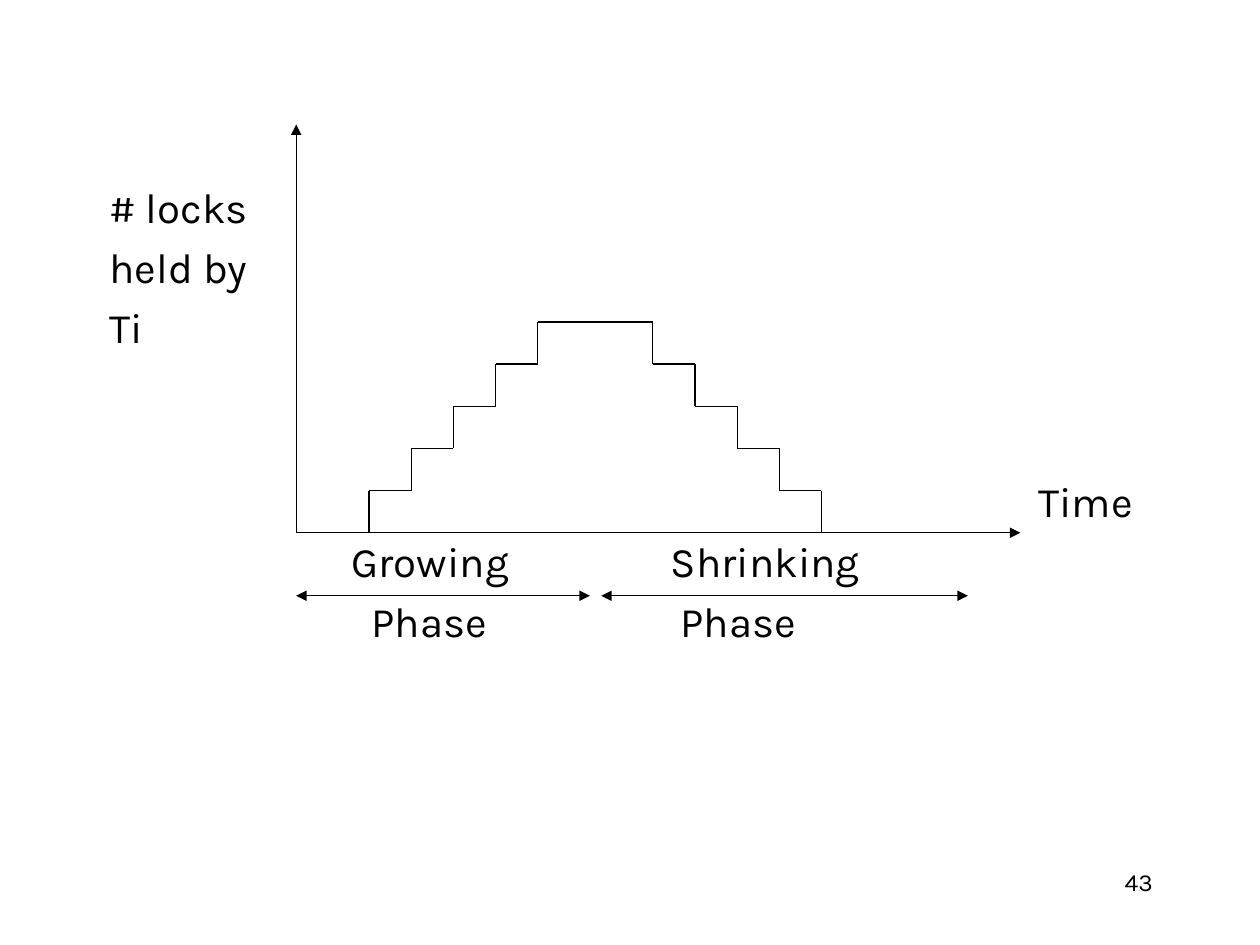
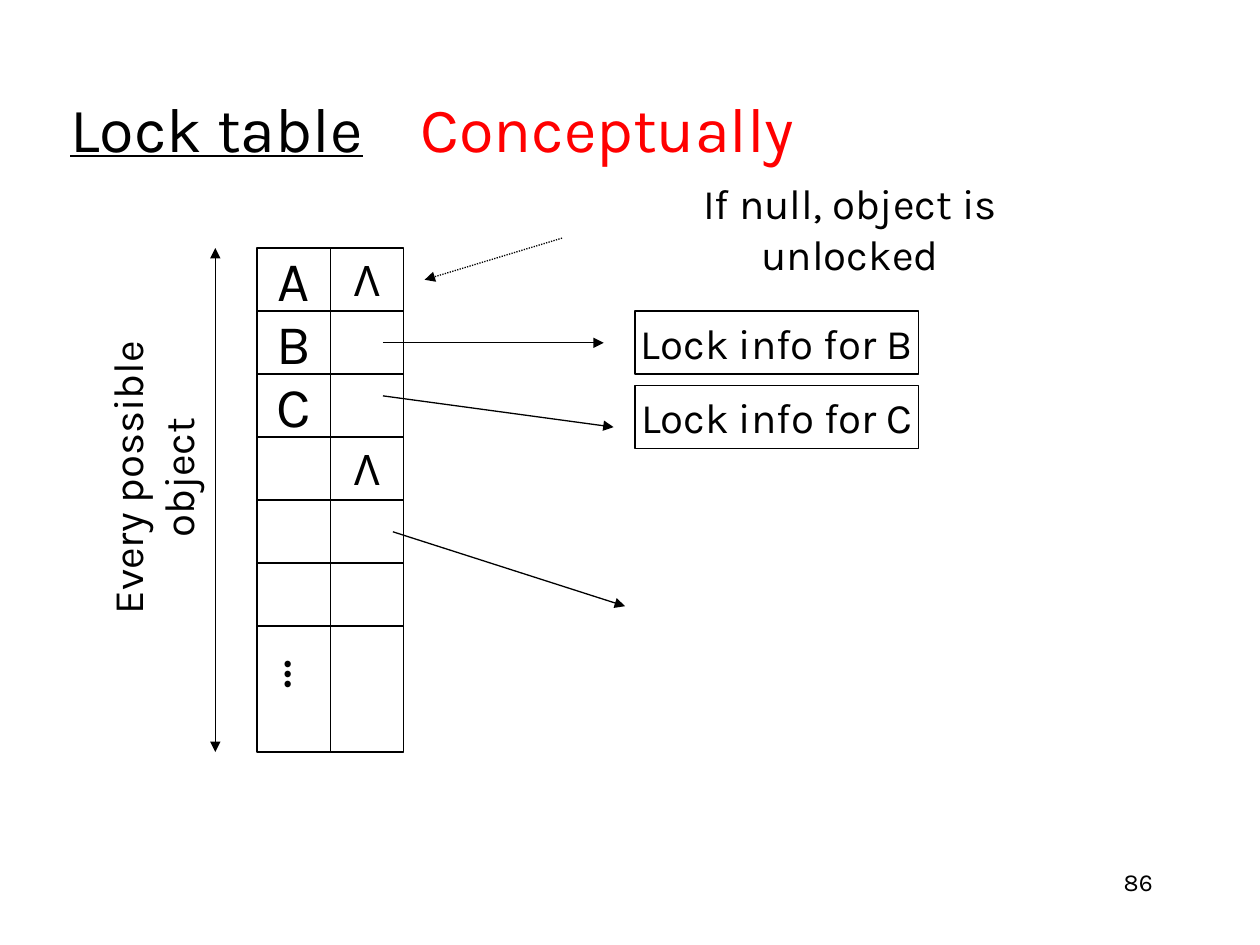
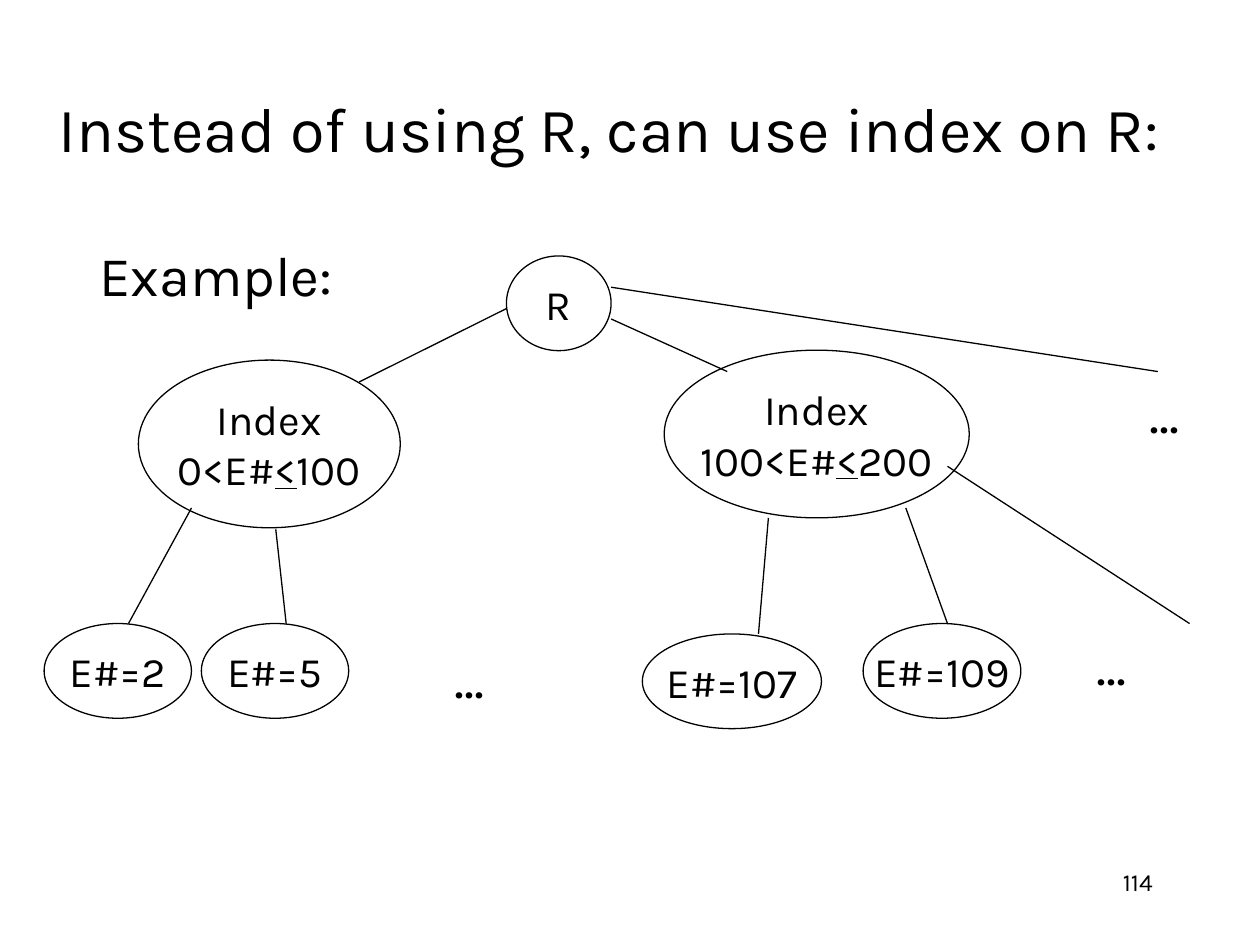
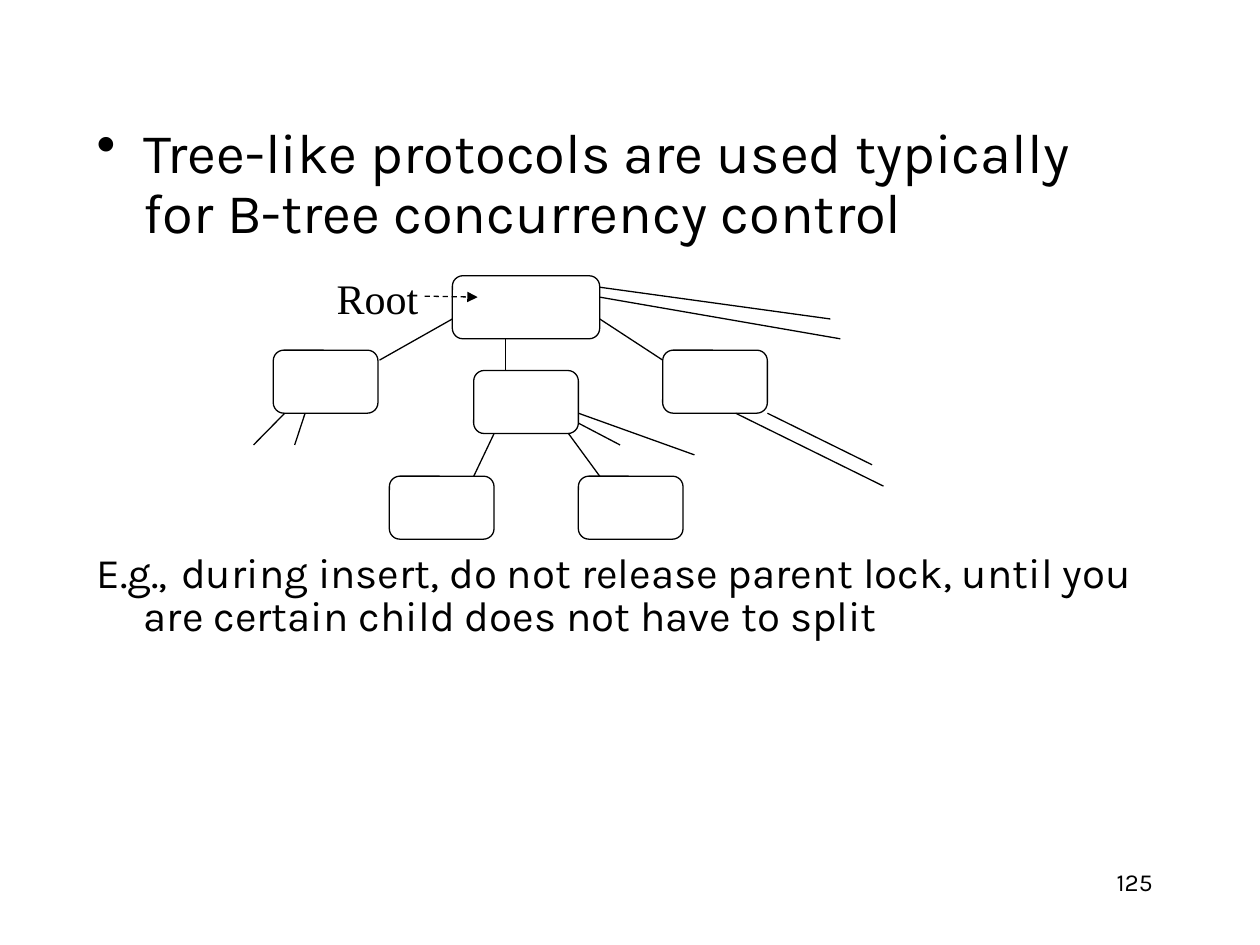
from dataclasses import dataclass
from itertools import pairwise

from pptx import Presentation
from pptx.dml.color import RGBColor
from pptx.enum.dml import MSO_LINE
from pptx.enum.shapes import MSO_CONNECTOR, MSO_SHAPE
from pptx.enum.text import MSO_ANCHOR, PP_ALIGN
from pptx.oxml.ns import qn
from pptx.oxml.xmlchemy import OxmlElement
from pptx.util import Cm, Pt


@dataclass(frozen=True)
class Theme:
    font: str = "Karla"
    serif: str = "Times New Roman"
    ink: RGBColor = RGBColor(0, 0, 0)
    paper: RGBColor = RGBColor(255, 255, 255)
    accent: RGBColor = RGBColor(255, 0, 0)
    title: int = 36
    large: int = 32
    body: int = 24
    number: int = 14
    para_gap: float = 5.5
    line: float = 0.75
    hanging: float = 0.95


THEME = Theme()


# Text
def add_run(p, text, size, font=THEME.font, color=THEME.ink, underline=False):
    r = p.add_run()
    r.text = text
    r.font.size = Pt(size)
    r.font.name = font
    r.font.color.rgb = color
    r.font.underline = underline


def write(tf, paragraphs, size, align=PP_ALIGN.LEFT, anchor=MSO_ANCHOR.TOP, wrap=True):
    """Each paragraph is a string or a list of (text, options) runs."""
    tf.word_wrap = wrap
    tf.vertical_anchor = anchor
    for i, runs in enumerate(paragraphs):
        p = tf.add_paragraph() if i else tf.paragraphs[0]
        p.alignment = align
        for text, options in [(runs, {})] if isinstance(runs, str) else runs:
            add_run(p, text, **{"size": size, **options})


def text_box(s, box, paragraphs, size=THEME.body, rotation=0, **layout):
    tb = s.shapes.add_textbox(*map(Cm, box))
    tb.rotation = rotation
    write(tb.text_frame, paragraphs, size, **layout)
    return tb.text_frame


def label(s, box, text, size=THEME.body, **options):
    return text_box(s, box, [text], size, align=PP_ALIGN.CENTER,
                    anchor=MSO_ANCHOR.MIDDLE, **options)


def dots(s, left, top, rotation=0):
    label(s, (left, top, 1.55, 1.6), "...", THEME.large, rotation=rotation, wrap=False)


def title(s, left, width, runs):
    tf = text_box(s, (left, 0.97, width, 3.18), [runs], THEME.title,
                  anchor=MSO_ANCHOR.MIDDLE)
    return tf.paragraphs[0]


def indent(p, left, first=0.0):
    pPr = p._p.get_or_add_pPr()
    pPr.set("marL", str(Cm(left)))
    pPr.set("indent", str(Cm(first)))
    return pPr


def bullet(p):
    bu = OxmlElement("a:buChar")
    bu.set("char", "•")
    p._p.get_or_add_pPr().append(bu)


def tab_stop(p, position):
    tabs, tab = OxmlElement("a:tabLst"), OxmlElement("a:tab")
    tab.set("pos", str(Cm(position)))
    tab.set("algn", "l")
    tabs.append(tab)
    p._p.get_or_add_pPr().append(tabs)


# Shapes and lines
def node(s, kind, box, paragraphs=(), size=THEME.body):
    sp = s.shapes.add_shape(kind, *map(Cm, box))
    sp.shadow.inherit = False
    sp.fill.solid()
    sp.fill.fore_color.rgb = THEME.paper
    sp.line.color.rgb = THEME.ink
    sp.line.width = Pt(THEME.line)
    write(sp.text_frame, paragraphs, size, PP_ALIGN.CENTER, MSO_ANCHOR.MIDDLE, wrap=False)


def line(s, start, end, arrow=False, dash=None):
    c = s.shapes.add_connector(MSO_CONNECTOR.STRAIGHT, *map(Cm, (*start, *end)))
    c.line.color.rgb = THEME.ink
    c.line.width = Pt(THEME.line)
    if dash is not None:
        c.line.dash_style = dash
    spPr = c.element.spPr
    if arrow:
        tip = OxmlElement("a:tailEnd")
        tip.set("type", "triangle")
        spPr.find(qn("a:ln")).append(tip)
    spPr.append(OxmlElement("a:effectLst"))


def arrows_from(s, start, *ends):
    for end in ends:
        line(s, start, end, arrow=True)


def new_slide(prs, number):
    s = prs.slides.add_slide(prs.slide_layouts[6])
    text_box(s, (18.21, 17.35, 5.28, 1.27), [str(number)], THEME.number,
             align=PP_ALIGN.RIGHT)
    return s


# Slides
def phases_slide(prs):
    s = new_slide(prs, 43)

    # Axes and captions
    origin = x0, y0 = 5.97, 10.74
    arrows_from(s, origin, (20.57, y0), (x0, 2.51))
    tf = text_box(s, (1.96, 3.53, 3.9, 4), ["# locks", "held by", "Ti"])
    for p in tf.paragraphs[1:]:
        p.space_before = Pt(THEME.para_gap)
    text_box(s, (20.68, 9.47, 3, 1.27), ["Time"])
    for left, name, shift in [(6.84, "Growing", 0.4), (13.27, "Shrinking", 0.2)]:
        tf = text_box(s, (left, 10.67, 4.6, 2.6), [name, "Phase"])
        phase = tf.paragraphs[1]
        phase.space_before = Pt(THEME.para_gap)
        indent(phase, shift)

    # Phase spans
    y = 12.01
    arrows_from(s, (8.08, y), (x0, y), (11.89, y))
    arrows_from(s, (16.33, y), (12.12, y), (19.51, y))

    # Staircase up, then down
    step, count, up, down = 0.85, 5, 7.44, 13.16
    levels = [y0 - i * step for i in range(count + 1)]
    points = []
    for i, (low, high) in enumerate(pairwise(levels)):
        points += [(up + i * step, low), (up + i * step, high)]
    for i, (high, low) in enumerate(pairwise(levels[::-1])):
        points += [(down + i * step, high), (down + i * step, low)]
    for start, end in pairwise(points):
        line(s, start, end)


def lock_table_slide(prs):
    s = new_slide(prs, 86)
    p = title(s, 1.17, 21.59, [("Lock table", {"underline": True}),
                               ("\tConceptually", {"color": THEME.accent})])
    tab_stop(p, 7.06)

    # Object and pointer columns
    left, top, width, height = 5.18, 5.0, 1.48, 1.27
    rows = [("A", "Λ"), ("B", ""), ("C", ""), ("", "Λ"), ("", ""), ("", ""), ("", "")]
    for i, row in enumerate(rows):
        tall = height * (2 if i == len(rows) - 1 else 1)
        for j, (text, size) in enumerate(zip(row, (THEME.large, THEME.body))):
            node(s, MSO_SHAPE.RECTANGLE,
                 (left + j * width, top + i * height, width, tall),
                 [text] if text else [], size)
    dots(s, 5.44, 12.8, rotation=90)

    # Lock info and pointers
    for name, y in [("B", 6.27), ("C", 7.77)]:
        node(s, MSO_SHAPE.RECTANGLE, (12.8, y, 5.72, 1.27), [f"Lock info for {name}"])
    for start, end in [((7.72, 6.91), (12.17, 6.91)),
                       ((7.72, 7.98), (12.37, 8.61)),
                       ((7.92, 10.72), (12.6, 12.22))]:
        line(s, start, end, arrow=True)

    # Notes
    label(s, (12.17, 3.33, 9.93, 2.54), "If null, object is unlocked")
    line(s, (11.33, 4.8), (8.56, 5.64), arrow=True, dash=MSO_LINE.ROUND_DOT)
    arrows_from(s, (4.34, 9.04), (4.34, 5.0), (4.34, 15.16))
    label(s, (-1.12, 8.36, 8.38, 2.54), "Every possible object", rotation=270)


def index_slide(prs):
    s = new_slide(prs, 114)
    title(s, 0.94, 23.22, "Instead of using R, can use index on R:")
    text_box(s, (1.75, 4.72, 8, 1.6), ["Example:"], THEME.large)

    # Root and index ranges
    node(s, MSO_SHAPE.OVAL, (10.21, 5.16, 2.11, 1.91), ["R"])
    for left, top, width, low, high in [(2.79, 7.26, 5.28, 0, 100),
                                        (13.39, 7.06, 6.15, 100, 200)]:
        node(s, MSO_SHAPE.OVAL, (left, top, width, 3.38),
             ["Index", [(f"{low}<E#", {}), ("<", {"underline": True}), (f"{high}", {})]])

    # Leaves
    for left, top, width, value in [(0.89, 12.57, 2.97, 2), (4.06, 12.57, 2.97, 5),
                                    (12.95, 12.78, 3.61, 107), (17.4, 12.57, 3.18, 109)]:
        node(s, MSO_SHAPE.OVAL, (left, top, width, 1.91), [f"E#={value}"])

    # Branches
    for start, end in [((3.86, 10.24), (2.59, 12.57)), ((5.56, 10.67), (5.77, 12.57)),
                       ((15.49, 10.44), (15.29, 12.78)), ((18.26, 10.24), (19.1, 12.57)),
                       ((19.1, 9.4), (23.98, 12.57)), ((10.21, 6.22), (7.24, 7.7)),
                       ((12.32, 6.43), (14.66, 7.49)), ((12.32, 5.79), (23.34, 7.49))]:
        line(s, start, end)
    for left, top in [(8.69, 12.83), (22.71, 7.49), (21.64, 12.57)]:
        dots(s, left, top)


def tree_slide(prs):
    s = new_slide(prs, 125)

    # Statement and example
    statement = "Tree-like protocols are used typically for B-tree concurrency control"
    p = text_box(s, (1.7, 2.39, 21.59, 2.9), [statement], THEME.large).paragraphs[0]
    indent(p, THEME.hanging, -THEME.hanging)
    p.line_spacing = 0.9
    bullet(p)
    example = [("E.g.,", {}), (" ", {"size": THEME.large}),
               ("during insert, do not release parent lock, until you are certain "
                "child does not have to split", {})]
    p = text_box(s, (1.7, 10.88, 21.59, 2.3), [example]).paragraphs[0]
    indent(p, THEME.hanging, -THEME.hanging)
    p.line_spacing = 0.8

    # Tree nodes
    node(s, MSO_SHAPE.ROUNDED_RECTANGLE, (9.12, 5.56, 2.97, 1.27))
    for left, top in [(5.51, 7.06), (9.55, 7.47), (13.36, 7.06), (7.85, 9.6), (11.66, 9.6)]:
        node(s, MSO_SHAPE.ROUNDED_RECTANGLE, (left, top, 2.11, 1.27))

    # Branches
    for start, end in [((9.12, 6.43), (7.65, 7.26)), ((10.19, 6.83), (10.19, 7.47)),
                       ((12.09, 6.43), (13.36, 7.26)), ((12.09, 5.79), (16.74, 6.43)),
                       ((12.09, 5.99), (16.94, 6.83)), ((5.74, 8.33), (5.11, 8.97)),
                       ((6.15, 8.33), (5.94, 8.97)), ((9.96, 8.74), (9.55, 9.6)),
                       ((11.46, 8.74), (12.09, 9.6)), ((11.66, 8.33), (14.0, 9.17)),
                       ((11.66, 8.53), (12.5, 8.97)), ((14.83, 8.33), (17.81, 9.8)),
                       ((15.47, 8.33), (17.58, 9.37))]:
        line(s, start, end)

    # Root pointer
    label(s, (6.53, 5.36, 2.16, 1.27), [("Root", {"font": THEME.serif})], wrap=False)
    line(s, (8.56, 5.97), (9.63, 5.99), arrow=True, dash=MSO_LINE.DASH)


def main():
    prs = Presentation()
    prs.slide_width, prs.slide_height = Cm(25.4), Cm(19.05)
    for build in (phases_slide, lock_table_slide, index_slide, tree_slide):
        build(prs)
    prs.save("out.pptx")


if __name__ == "__main__":
    main()
